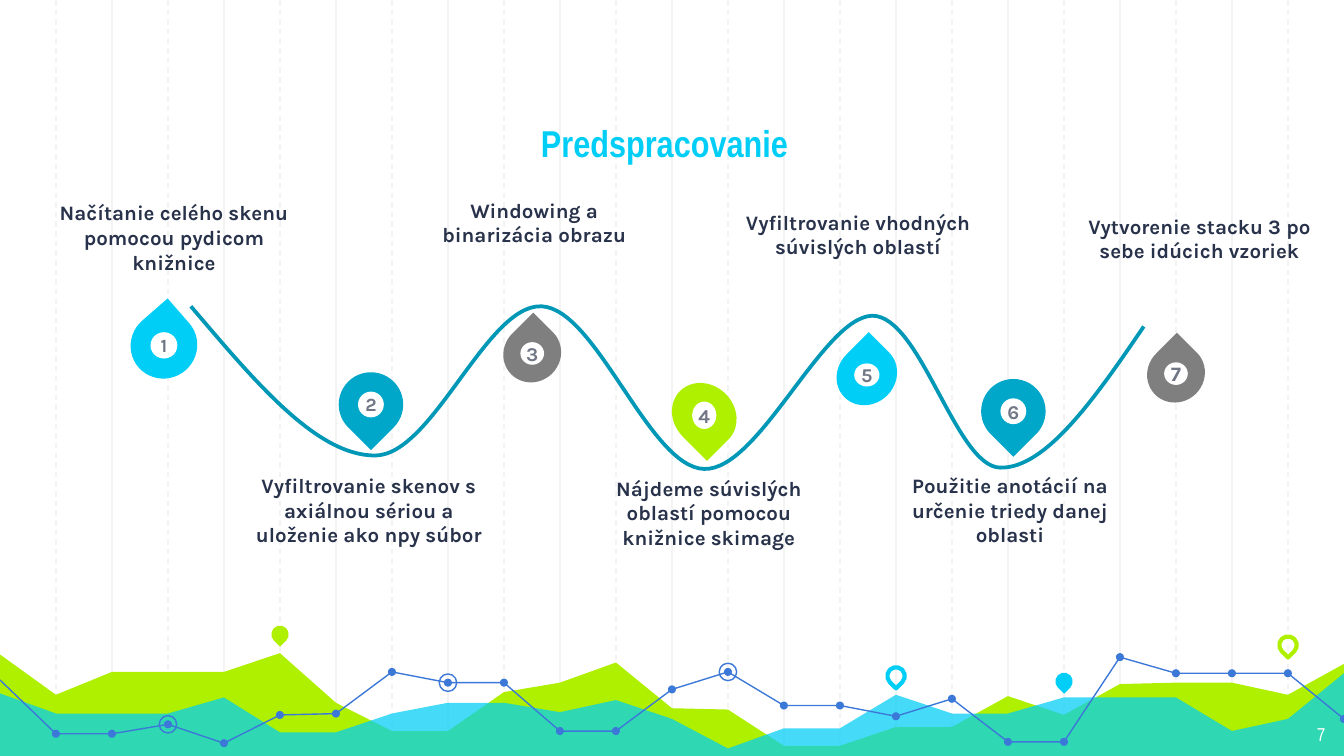
from lxml.etree import SubElement
from pptx import Presentation
from pptx.dml.color import RGBColor
from pptx.enum.dml import MSO_LINE
from pptx.enum.shapes import MSO_CONNECTOR, MSO_SHAPE
from pptx.enum.text import MSO_ANCHOR, MSO_AUTO_SIZE, PP_ALIGN
from pptx.oxml.ns import qn
from pptx.util import Inches, Pt

WIDE = 10
HIGH = WIDE * 9 / 16
STEP = WIDE / 24
HUES = {
    "cyan": "00CEF6", "teal": "00A7C8", "lime": "AFF000", "gray": "7F7F7F",
    "road": "0098B6", "blue": "3C78D8", "grid": "F3F3F3", "white": "FFFFFF",
    "ink": "28324A", "num": "707685",
}

# Heights at the 25 grid nodes, measured down from the top of the scenery
HILLS = [.27, .57, .4, .4, .4, .26, .63, .84, .84, .55, .48, .33, .67,
         .68, .95, .95, .81, .81, .58, .72, .49, .48, .48, .57, .34]
WAVES = [.56, .71, .71, .71, .59, .85, .85, .71, .63, .63, .7, .61, .75,
         .97, .82, .82, .57, .71, .71, .59, .59, .59, .84, .75, .41]
TREND = [.46, .86, .86, .79, .93, .72, .71, .4, .48, .48, .84, .84, .53,
         .4, .65, .65, .73, .6, .92, .92, .29, .41, .41, .41, .75]
RINGS = [3, 8, 13]
DROPS = [(5, .12, "lime", True), (16, .43, "cyan", False),
         (19, .47, "cyan", True), (23, .2, "lime", False)]

# Start point, then three Bezier points for each bend
ROAD = [(1.42, .98),
        (1.89, 1.53), (2.35, 2.09), (2.79, 2.09),
        (3.22, 2.09), (3.62, .96), (4.03, .98),
        (4.44, 1), (4.83, 2.18), (5.24, 2.19),
        (5.65, 2.2), (6.12, 1.06), (6.49, 1.05),
        (6.85, 1.05), (7.11, 2.17), (7.44, 2.18),
        (7.78, 2.19), (8.15, 1.66), (8.51, 1.13)]
# Caption, its left and top, pin centre and size, turn, colour, number size
STEPS = [
    ("Načítanie celého skenu pomocou pydicom knižnice",
     (.3, .09), (1.22, 1.27, .5, .49), 318.9, "cyan", 10),
    ("Vyfiltrovanie skenov s axiálnou sériou a uloženie ako npy súbor",
     (1.75, 2.12), (2.76, 1.71, .48, .48), 135, "teal", 10),
    ("Windowing a binarizácia obrazu",
     (2.98, .07), (3.96, 1.33, .44, .42), 315, "gray", 10.5),
    ("Nájdeme súvislých oblastí pomocou knižnice skimage",
     (4.28, 2.14), (5.24, 1.79, .45, .51), 135, "lime", 10.5),
    ("Vyfiltrovanie vhodných súvislých oblastí",
     (5.39, .16), (6.45, 1.49, .47, .43), 315, "cyan", 10.5),
    ("Použitie anotácií na určenie triedy danej oblasti",
     (6.52, 2.12), (7.54, 1.76, .48, .48), 135, "teal", 10.5),
    ("Vytvorenie stacku 3 po sebe idúcich vzoriek",
     (7.93, .19), (8.75, 1.48, .44, .42), 315, "gray", 11),
]


def hue(name):
    return RGBColor.from_string(HUES[name])


def paint(shape, fill=None, line=None, width=.75):
    shape.shadow.inherit = False
    if fill:
        shape.fill.solid()
        shape.fill.fore_color.rgb = hue(fill)
    else:
        shape.fill.background()
    if line:
        shape.line.color.rgb = hue(line)
        shape.line.width = Pt(width)
    else:
        shape.line.fill.background()


def write(shape, text, size=11, font="Karla", color="ink", bold=True,
          align=PP_ALIGN.CENTER, anchor=MSO_ANCHOR.TOP, inset=.1, before=0):
    frame = shape.text_frame
    frame.word_wrap = True
    frame.auto_size = MSO_AUTO_SIZE.NONE
    frame.vertical_anchor = anchor
    frame.margin_left = frame.margin_right = Inches(inset)
    frame.margin_top = frame.margin_bottom = Inches(inset)
    para = frame.paragraphs[0]
    para.alignment = align
    para.space_before = Pt(before)
    run = para.add_run()
    run.text = text
    run.font.name, run.font.size, run.font.bold = font, Pt(size), bold
    run.font.color.rgb = hue(color)


def label(slide, box, text, **look):
    write(slide.shapes.add_textbox(*map(Inches, box)), text, **look)


def mark(slide, kind, mid, size, turn=0, **look):
    """Add a shape centred on mid."""
    (x, y), (w, h) = mid, size
    shape = slide.shapes.add_shape(
        kind, Inches(x - w / 2), Inches(y - h / 2), Inches(w), Inches(h))
    shape.rotation = turn
    paint(shape, **look)
    return shape


def trace(slide, dots, close=False, **look):
    pts = [(Inches(x), Inches(y)) for x, y in dots]
    pen = slide.shapes.build_freeform(*pts[0])
    pen.add_line_segments(pts[1:], close=close)
    shape = pen.convert_to_shape()
    paint(shape, **look)
    return shape


def bend(shape):
    """Turn every three straight segments into one Bezier curve."""
    lines = list(shape.element.iter(qn("a:lnTo")))
    for i in range(0, len(lines), 3):
        curve = lines[i]
        curve.tag = qn("a:cubicBezTo")
        for line in lines[i + 1:i + 3]:
            curve.append(line[0])
            line.getparent().remove(line)


def grid(slide, box):
    left, top, wide, high = box
    for i in [*range(2, 24, 2), *range(1, 24, 2)]:
        x = Inches(left + i * wide / 24)
        rule = slide.shapes.add_connector(
            MSO_CONNECTOR.STRAIGHT, x, Inches(top), x, Inches(top + high))
        rule.line.color.rgb = hue("grid")
        rule.line.width = Pt(.75)
        if i % 2:
            rule.line.dash_style = MSO_LINE.DASH
        SubElement(rule.element.spPr, qn("a:effectLst"))


def scene(slide, box):
    left, top, wide, high = box

    def nodes(drops):
        return [(left + i * STEP, top + y) for i, y in enumerate(drops)]

    base = [(left + wide, top + high), (left, top + high)]
    trace(slide, nodes(HILLS) + base, close=True, fill="lime")
    waves = trace(slide, nodes(WAVES) + base, close=True, fill="cyan")
    tint = waves.element.spPr.find(qn("a:solidFill"))[0]
    SubElement(tint, qn("a:alpha"), val="73000")

    trend = nodes(TREND)
    trace(slide, trend, line="blue")
    for mid in trend[1:]:
        mark(slide, MSO_SHAPE.OVAL, mid, (.06, .06), fill="blue")
    for i in RINGS:
        mark(slide, MSO_SHAPE.OVAL, trend[i], (.13, .13), line="blue")
    for i, y, color, full in DROPS:
        look = {"fill": color} if full else {"line": color, "width": 2.25}
        mark(slide, MSO_SHAPE.TEAR, (left + i * STEP, top + y), (.13, .13),
             135, **look)


def route(slide, box):
    left, top = box[:2]
    bend(trace(slide, [(left + x, top + y) for x, y in ROAD],
               line="road", width=2))
    for num, (text, spot, pin, turn, color, size) in enumerate(STEPS, 1):
        x, y, w, h = pin
        mid = left + x, top + y
        mark(slide, MSO_SHAPE.TEAR, mid, (w, h), turn, fill=color)
        disc = mark(slide, MSO_SHAPE.OVAL, mid, (w * .4, h * .4), fill="white")
        write(disc, str(num), size=size, color="num", inset=0,
              anchor=MSO_ANCHOR.MIDDLE)
        label(slide, (left + spot[0], top + spot[1], 1.99, 1.43), text,
              before=6)


def head(slide, box, text):
    """Fill the title and lift it above the scenery."""
    title = slide.shapes.title
    title.element.getparent().append(title.element)
    title.left, title.top, title.width, title.height = map(Inches, box)
    write(title, text, size=20, font="Arial Narrow", color="cyan",
          anchor=MSO_ANCHOR.BOTTOM)


def main():
    deck = Presentation()
    deck.slide_width, deck.slide_height = Inches(WIDE), Inches(HIGH)
    slide = deck.slides.add_slide(deck.slide_layouts[5])
    grid(slide, (0, 0, WIDE, HIGH))
    scene(slide, (0, 4.6, WIDE, HIGH - 4.6))
    head(slide, (1.12, .55, 7.65, .78), "Predspracovanie")
    label(slide, (9.36, 5.28, .6, .35), "7", size=10, font="Arial Narrow",
          color="white", bold=False, align=PP_ALIGN.RIGHT)
    route(slide, (0, 1.3, WIDE, 3.6))
    deck.save("out.pptx")


if __name__ == "__main__":
    main()
